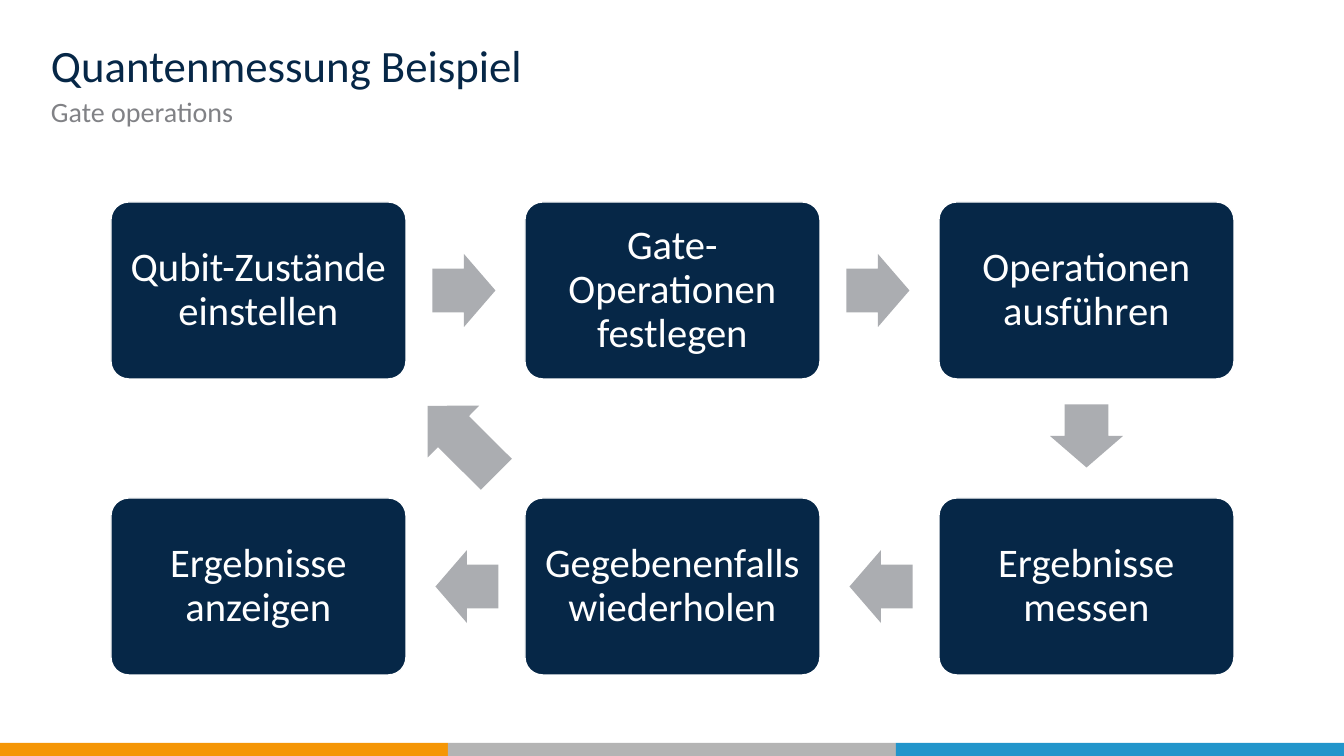
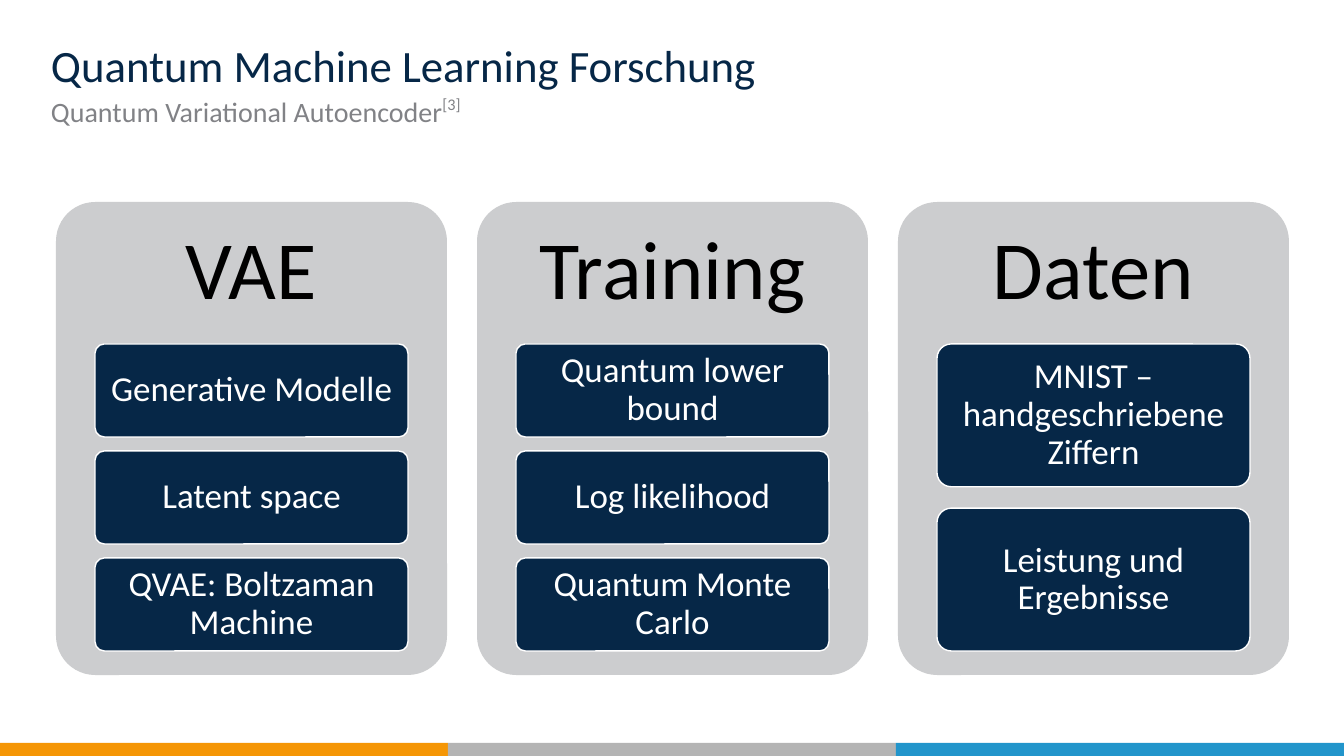
from pptx import Presentation
from pptx.dml.color import RGBColor
from pptx.enum.shapes import MSO_SHAPE as Shape
from pptx.enum.text import MSO_ANCHOR as Anchor, PP_ALIGN as Align
from pptx.util import Emu, Pt

EMU_PER_PX = 914400 / 100.8
NAVY, GREY, WHITE, BLACK = "062747", "818286", "FFFFFF", "000000"
ARROW_GREY, PANEL_GREY = "ABADB1", "CCCDCF"
BANDS = ["F59605", "B4B4B4", "2295CB"]


def px(length):
    return Emu(round(length * EMU_PER_PX))


def color(code):
    return RGBColor.from_string(code)


def assign(target, values):
    for name, value in values.items():
        setattr(target, name, value)


class Designer:
    font = "Calibri"
    width, height = 1344, 756
    band_height = 14

    def __init__(self):
        self.deck = Presentation()
        assign(self.deck, {"slide_width": px(self.width), "slide_height": px(self.height)})
        self.page = None

    def new_page(self, title, subtitle, reference=""):
        self.page = self.deck.slides.add_slide(self.deck.slide_layouts[6])
        band_width = self.width // len(BANDS)
        for index, fill in enumerate(BANDS):
            self.shape(Shape.RECTANGLE, index * band_width, self.height - self.band_height + 1,
                       band_width, self.band_height, fill)
        self.text(41, 39, 1247, 47, title, 32, NAVY)
        box = self.text(41, 93, 1247, 47, subtitle, 20, GREY)
        if reference:
            span = self.add_span(box.text_frame.paragraphs[0], reference, 20, GREY)
            span.font._element.set("baseline", "40000")

    def add_span(self, para, words, size, ink):
        span = para.add_run()
        span.text = words
        assign(span.font, {"name": self.font, "size": Pt(size)})
        span.font.color.rgb = color(ink)
        return span

    def fill_text(self, box, words, size, ink, align, anchor, inset):
        across, down = inset
        assign(box.text_frame, {
            "word_wrap": True, "vertical_anchor": anchor,
            "margin_left": px(across), "margin_right": px(across),
            "margin_top": px(down), "margin_bottom": px(down)})
        para = box.text_frame.paragraphs[0]
        assign(para, {"alignment": align, "line_spacing": 0.9})
        self.add_span(para, words, size, ink)

    def text(self, left, top, width, height, words, size, ink,
             align=Align.LEFT, anchor=Anchor.TOP, inset=(10, 5)):
        box = self.page.shapes.add_textbox(px(left), px(top), px(width), px(height))
        self.fill_text(box, words, size, ink, align, anchor, inset)
        return box

    def shape(self, kind, left, top, width, height, fill, line=None):
        shape = self.page.shapes.add_shape(kind, px(left), px(top), px(width), px(height))
        shape.shadow.inherit = False
        shape.fill.solid()
        shape.fill.fore_color.rgb = color(fill)
        if line:
            shape.line.color.rgb = color(line)
            shape.line.width = Pt(1)
        else:
            shape.line.fill.background()
        return shape

    def rounded(self, left, top, width, height, fill, line=None):
        shape = self.shape(Shape.ROUNDED_RECTANGLE, left, top, width, height, fill, line)
        shape.adjustments[0] = 0.1
        return shape

    def card(self, left, top, width, height, words, size, inset):
        card = self.rounded(left, top, width, height, NAVY, WHITE)
        self.fill_text(card, words, size, WHITE, Align.CENTER, Anchor.MIDDLE, inset)

    def arrow(self, center_x, center_y, rotation, length=63, breadth=73):
        arrow = self.shape(Shape.RIGHT_ARROW, center_x - length / 2, center_y - breadth / 2,
                           length, breadth, ARROW_GREY)
        arrow.adjustments[0] = 0.6
        arrow.rotation = rotation

    def panel(self, left, heading, topics):
        top, width, inner = 202, 391, 39
        self.rounded(left, top, width, 473, PANEL_GREY)
        self.text(left, top, width, 142, heading, 59, BLACK,
                  Align.CENTER, Anchor.MIDDLE, (25, 25))
        gap_share = 0.15
        count = len(topics)
        height = 307 / (count + gap_share * (count - 1))
        for index, topic in enumerate(topics):
            self.card(left + inner, 344 + index * height * (1 + gap_share),
                      width - 2 * inner, height, topic, 25, (7, 5))


def build_measurement(designer):
    designer.new_page("Quantenmessung Beispiel", "Gate operations")
    left, step, width, height = 111, 414, 295, 177
    rows = [
        (202, 353, 0, ["Qubit-Zustände einstellen", "Gate-Operationen festlegen",
                       "Operationen ausführen"]),
        (498, 356, 180, ["Ergebnisse anzeigen", "Gegebenenfalls wiederholen",
                         "Ergebnisse messen"]),
    ]
    for top, arrow_offset, rotation, steps in rows:
        for column, words in enumerate(steps):
            card_left = left + column * step
            designer.card(card_left, top, width, height, words, 29, (12, 12))
            if column < len(steps) - 1:
                designer.arrow(card_left + arrow_offset, top + height / 2, rotation)
    designer.arrow(left + 2 * step + width / 2, 436, 90)
    designer.arrow(462, 440, 224.9, length=97)


def build_research(designer):
    designer.new_page("Quantum Machine Learning Forschung",
                      "Quantum Variational Autoencoder", "[3]")
    panels = {
        "VAE": ["Generative Modelle", "Latent space", "QVAE: Boltzaman Machine"],
        "Training": ["Quantum lower bound", "Log likelihood", "Quantum Monte Carlo"],
        "Daten": ["MNIST – handgeschriebene Ziffern", "Leistung und Ergebnisse"],
    }
    for index, (heading, topics) in enumerate(panels.items()):
        designer.panel(56 + index * 421, heading, topics)


def main():
    designer = Designer()
    build_measurement(designer)
    build_research(designer)
    designer.deck.save("out.pptx")


if __name__ == "__main__":
    main()
